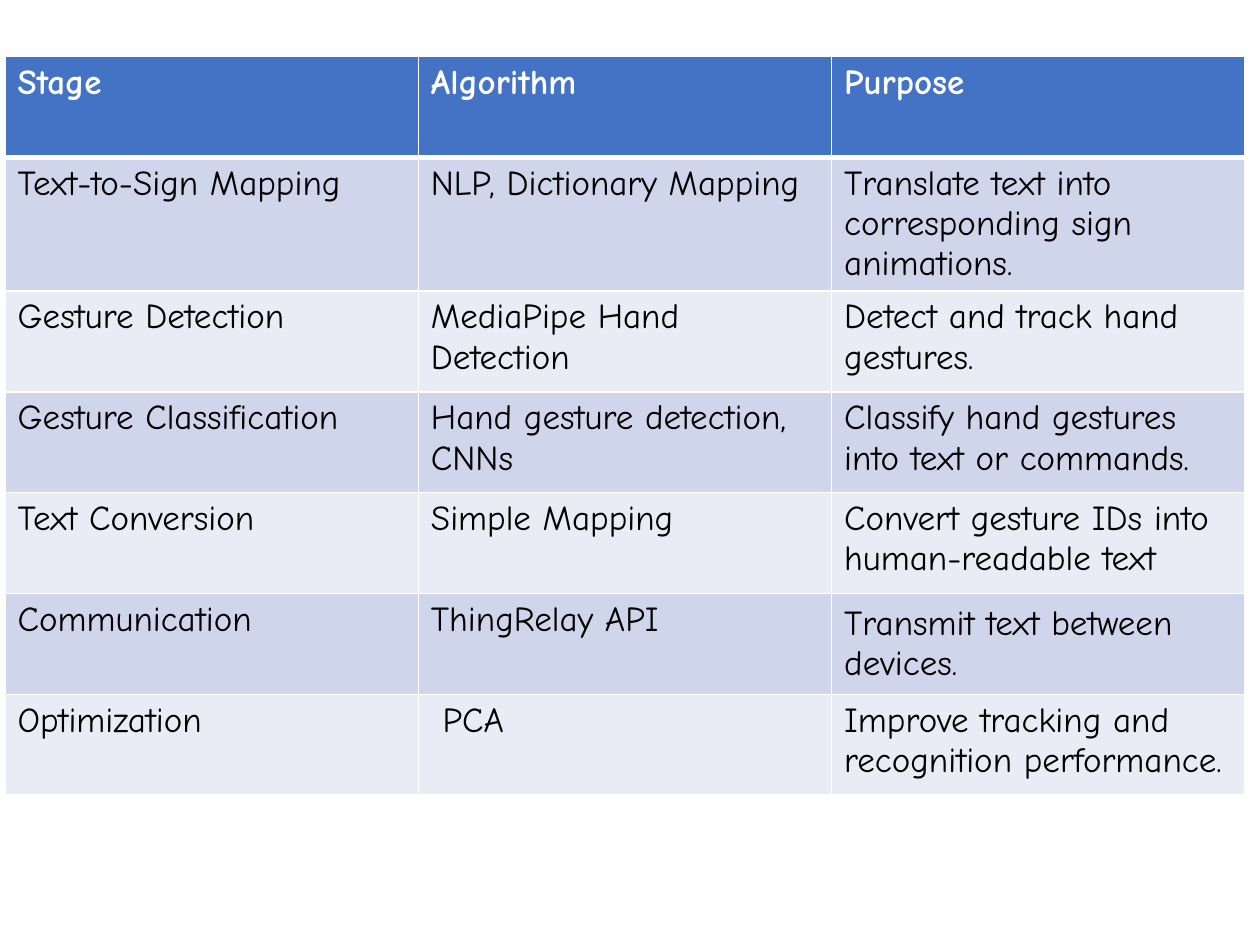
from lxml.etree import SubElement
from pptx import Presentation
from pptx.dml.color import RGBColor
from pptx.enum.text import MSO_ANCHOR
from pptx.oxml.ns import qn
from pptx.util import Inches, Pt

THEME = {
    "font": "Comic Neue", "size": Pt(20),
    "header": "4472C4", "bands": ("E9EBF5", "CFD5EA"),
    "header_text": "FFFFFF", "text": "000000", "border": "FFFFFF",
}
ROWS = [
    ("Stage", "Algorithm", "Purpose"),
    ("Text-to-Sign Mapping", "NLP, Dictionary Mapping",
     "Translate text into corresponding sign animations."),
    ("Gesture Detection", "MediaPipe Hand Detection",
     "Detect and track hand gestures."),
    ("Gesture Classification", "Hand gesture detection, CNNs",
     "Classify hand gestures into text or commands."),
    ("Text Conversion", "Simple Mapping",
     "Convert gesture IDs into human-readable text"),
    ("Communication", "ThingRelay API", "Transmit text between devices."),
    ("Optimization", " PCA", "Improve tracking and recognition performance."),
]
COL_W, ROW_H = Inches(3.28), Inches(0.8)


def set_borders(cell, top, bottom):
    """Draw the four cell borders; call before the fill, which must follow them."""
    tcPr = cell._tc.get_or_add_tcPr()
    for side, width in (("L", 1), ("R", 1), ("T", top), ("B", bottom)):
        ln = SubElement(tcPr, qn(f"a:ln{side}"), w=str(Pt(width)))
        fill = SubElement(ln, qn("a:solidFill"))
        SubElement(fill, qn("a:srgbClr"), val=THEME["border"])


prs = Presentation()
prs.slide_width, prs.slide_height = Inches(10), Inches(7.5)
s = prs.slides.add_slide(prs.slide_layouts[6])

n_rows, n_cols = len(ROWS), len(ROWS[0])
table = s.shapes.add_table(n_rows, n_cols, Inches(0.04), Inches(0.45),
                           COL_W * n_cols, ROW_H * n_rows).table
for col in table.columns:
    col.width = COL_W
for row in table.rows:
    row.height = ROW_H

for i, texts in enumerate(ROWS):
    header = i == 0
    for j, text in enumerate(texts):
        cell = table.cell(i, j)
        set_borders(cell, top=3 if i == 1 else 1, bottom=3 if header else 1)
        cell.fill.solid()
        cell.fill.fore_color.rgb = RGBColor.from_string(
            THEME["header"] if header else THEME["bands"][i % 2])
        cell.text = text
        font = cell.text_frame.paragraphs[0].font
        font.name, font.size, font.bold = THEME["font"], THEME["size"], header
        font.color.rgb = RGBColor.from_string(
            THEME["header_text"] if header else THEME["text"])

table.cell(5, 2).vertical_anchor = MSO_ANCHOR.MIDDLE

prs.save("out.pptx")
